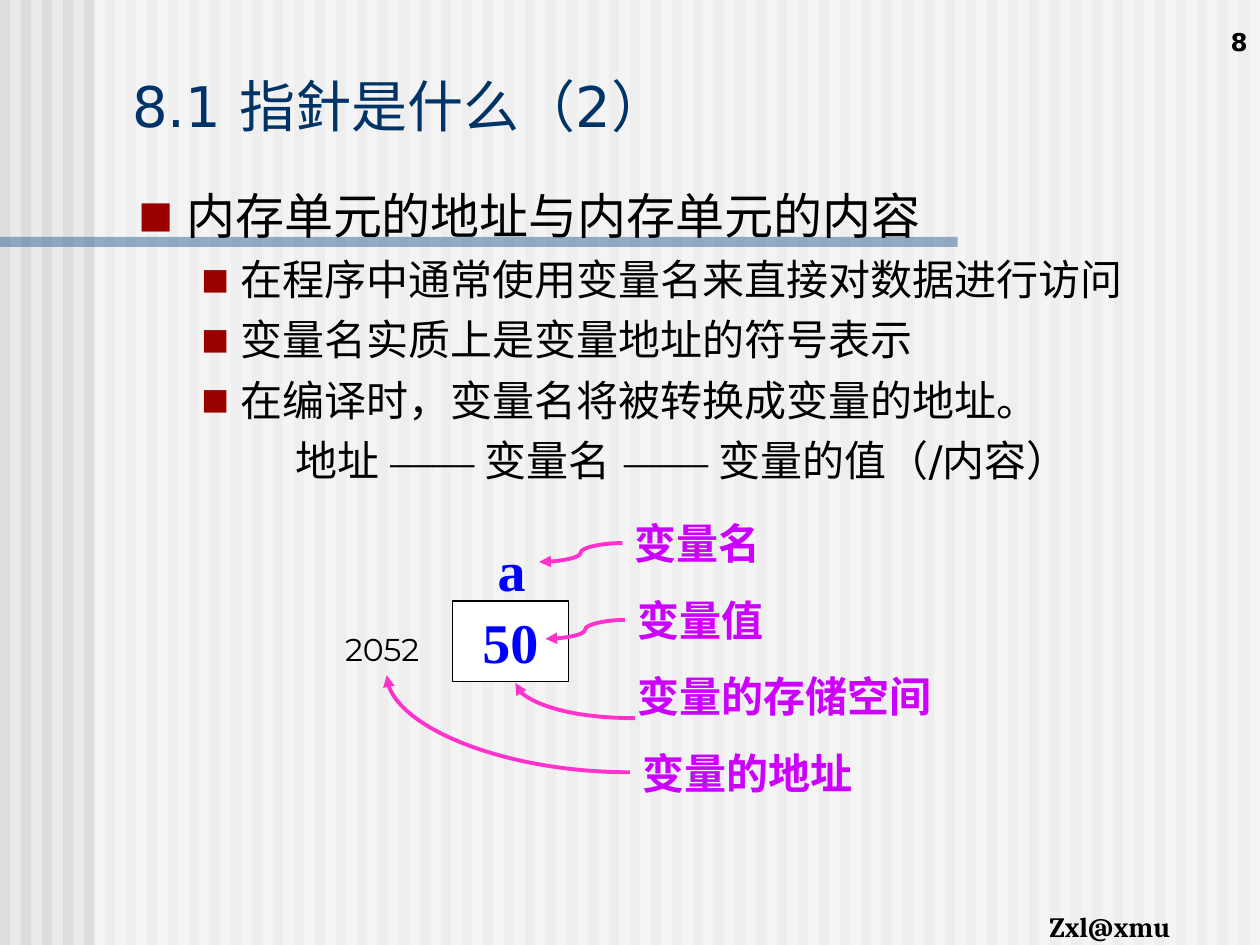
import pptx
import pptx.dml.color
import pptx.enum.shapes
import pptx.enum.text
import pptx.oxml.ns
import pptx.util
from lxml import etree

Inches = pptx.util.Inches
Pt = pptx.util.Pt
RGBColor = pptx.dml.color.RGBColor
ALIGN = pptx.enum.text.PP_ALIGN
ANCHOR = pptx.enum.text.MSO_ANCHOR
CONNECTOR = pptx.enum.shapes.MSO_CONNECTOR
RECTANGLE = pptx.enum.shapes.MSO_SHAPE.RECTANGLE
qn = pptx.oxml.ns.qn

BACKGROUND = RGBColor(0xEA, 0xEA, 0xEA)
STRIPE = RGBColor(0xDD, 0xDD, 0xDD)
WHITE = RGBColor(0xFF, 0xFF, 0xFF)
BLACK = RGBColor(0, 0, 0)
BAR = RGBColor(0x33, 0x66, 0x99)
TITLE = RGBColor(0, 0x33, 0x66)
BULLET = RGBColor(0x9A, 0, 0)
VALUE = RGBColor(0, 0, 0xFF)
LABEL = RGBColor(0xCC, 0, 0xFF)
ARROW = RGBColor(0xFF, 0x33, 0xCC)

SANS = "DejaVu Sans"
SERIF = "Times New Roman"
CHINESE = "Noto Sans CJK SC"


def add_run(paragraph, text, font=SANS, size=24, color=BLACK, bold=False):
    run = paragraph.add_run()
    run.text = text
    run.font.name = font
    run.font.size = Pt(size)
    run.font.bold = bold
    run.font.color.rgb = color
    latin = run.font._element.find(qn("a:latin"))
    east_asian = etree.Element(qn("a:ea"), typeface=font)
    latin.addnext(east_asian)


def write_text(shape, text, align=ALIGN.LEFT, anchor=ANCHOR.TOP, wrap=False, **font):
    frame = shape.text_frame
    frame.word_wrap = wrap
    frame.vertical_anchor = anchor
    paragraph = frame.paragraphs[0]
    paragraph.alignment = align
    add_run(paragraph, text, **font)


def add_text(slide, box, text, **style):
    shape = slide.shapes.add_textbox(*map(Inches, box))
    write_text(shape, text, **style)


def add_rectangle(shapes, box, fill, opacity=None, line=None):
    shape = shapes.add_shape(RECTANGLE, *map(Inches, box))
    shape.shadow.inherit = False
    shape.fill.solid()
    shape.fill.fore_color.rgb = fill
    if opacity is not None:
        color = shape.fill._xPr.find(".//" + qn("a:srgbClr"))
        etree.SubElement(color, qn("a:alpha"), val=str(opacity * 1000))
    if line is None:
        shape.line.fill.background()
    else:
        shape.line.color.rgb = line
        shape.line.width = Pt(0.75)
    return shape


def add_curved_arrow(slide, start, end, geometry):
    arrow = slide.shapes.add_connector(
        CONNECTOR.CURVE, *map(Inches, start), *map(Inches, end))
    arrow.line.color.rgb = ARROW
    arrow.line.width = Pt(2.25)
    properties = arrow._element.spPr
    properties.find(qn("a:prstGeom")).set("prst", geometry)
    etree.SubElement(properties.find(qn("a:ln")), qn("a:tailEnd"), type="triangle")
    etree.SubElement(properties, qn("a:effectLst"))


def add_bullet(paragraph, margin, hanging, percent):
    properties = paragraph._p.get_or_add_pPr()
    properties.set("marL", str(Inches(margin)))
    properties.set("indent", str(-Inches(hanging)))
    color = etree.SubElement(properties, qn("a:buClr"))
    etree.SubElement(color, qn("a:srgbClr"), val=str(BULLET))
    etree.SubElement(properties, qn("a:buSzPct"), val=str(percent * 1000))
    etree.SubElement(properties, qn("a:buFont"), typeface=SANS)
    etree.SubElement(properties, qn("a:buChar"), char="■")


def add_backdrop(slide):
    slide.background.fill.solid()
    slide.background.fill.fore_color.rgb = BACKGROUND
    shapes = slide.shapes.add_group_shape().shapes
    for index in range(60):
        add_rectangle(shapes, (index / 6, 0, 0.08, 7.5), STRIPE)
    add_rectangle(shapes, (0.75, 0, 9.25, 7.5), WHITE, opacity=50)
    add_rectangle(shapes, (0, 1.88, 7.6, 0.08), BAR, opacity=50)


def add_title(slide):
    title = slide.shapes.title
    title.left, title.top = Inches(0.95), Inches(0.52)
    title.width, title.height = Inches(8.93), Inches(0.63)
    write_text(title, "8.1 指針是什么（2）", anchor=ANCHOR.BOTTOM, wrap=True,
               size=32, color=TITLE)
    slide.shapes._spTree.append(title._element)  # in front of the backdrop


def add_body(slide):
    shape = slide.shapes.add_textbox(Inches(1), Inches(1.42), Inches(8.87), Inches(5.6))
    frame = shape.text_frame
    frame.word_wrap = True
    heading = frame.paragraphs[0]
    add_bullet(heading, 0.38, 0.38, 75)
    add_run(heading, "内存单元的地址与内存单元的内容", size=28)

    for text in ("在程序中通常使用变量名来直接对数据进行访问",
                 "变量名实质上是变量地址的符号表示",
                 "在编译时，变量名将被转换成变量的地址。"):
        paragraph = frame.add_paragraph()
        paragraph.space_before = Pt(5.6)
        add_bullet(paragraph, 0.81, 0.31, 70)
        add_run(paragraph, text)

    relation = frame.add_paragraph()
    relation.space_before = Pt(5.6)
    properties = relation._p.get_or_add_pPr()
    properties.set("marL", "0")
    properties.set("indent", str(Inches(1.25)))
    tabs = etree.SubElement(properties, qn("a:tabLst"))
    etree.SubElement(tabs, qn("a:tab"), pos=str(Inches(2.16)), algn="l")
    for text, font in (("地址\t", SANS), ("—— ", SERIF), ("变量名 ", SANS),
                       ("—— ", SERIF), ("变量的值（/内容）", SANS)):
        add_run(relation, text, font=font)


def add_memory_diagram(slide):
    value_style = dict(font=SERIF, size=32, color=VALUE, bold=True)
    cell = add_rectangle(slide.shapes, (3.59, 4.77, 0.92, 0.64), WHITE, line=BLACK)
    write_text(cell, "50", align=ALIGN.CENTER, anchor=ANCHOR.MIDDLE, **value_style)
    add_text(slide, (3.85, 4.2, 0.42, 0.63), "a", **value_style)
    add_text(slide, (2.64, 4.95, 0.88, 0.4), "2052", font="Montserrat", size=18)

    for text, left, top, width in (("变量名", 4.94, 4.06, 1.21),
                                   ("变量值", 4.96, 4.67, 1.93),
                                   ("变量的存储空间", 4.96, 5.27, 2.95),
                                   ("变量的地址", 5, 5.88, 2.13)):
        add_text(slide, (left, top, width, 0.5), text, wrap=True,
                 font=CHINESE, color=LABEL, bold=True)

    for start, end, geometry in (
            ((4.94, 4.31), (4.28, 4.46), "curvedConnector3"),
            ((4.96, 4.92), (4.33, 5.07), "curvedConnector3"),
            ((5.04, 5.7), (4.09, 5.42), "curvedConnector2"),
            ((5, 6.13), (3.07, 5.36), "curvedConnector2")):
        add_curved_arrow(slide, start, end, geometry)


def main():
    presentation = pptx.Presentation()
    presentation.slide_width = Inches(10)
    presentation.slide_height = Inches(7.5)
    slide = presentation.slides.add_slide(presentation.slide_layouts[5])
    add_backdrop(slide)
    add_text(slide, (8.23, 7.17, 1.29, 0.37), "Zxl@xmu",
             font="Cambria", size=16, bold=True)
    add_text(slide, (7.92, 0, 2.08, 0.5), "8", align=ALIGN.RIGHT,
             anchor=ANCHOR.BOTTOM, wrap=True, size=14, bold=True)
    add_title(slide)
    add_body(slide)
    add_memory_diagram(slide)
    presentation.save("out.pptx")


if __name__ == "__main__":
    main()
